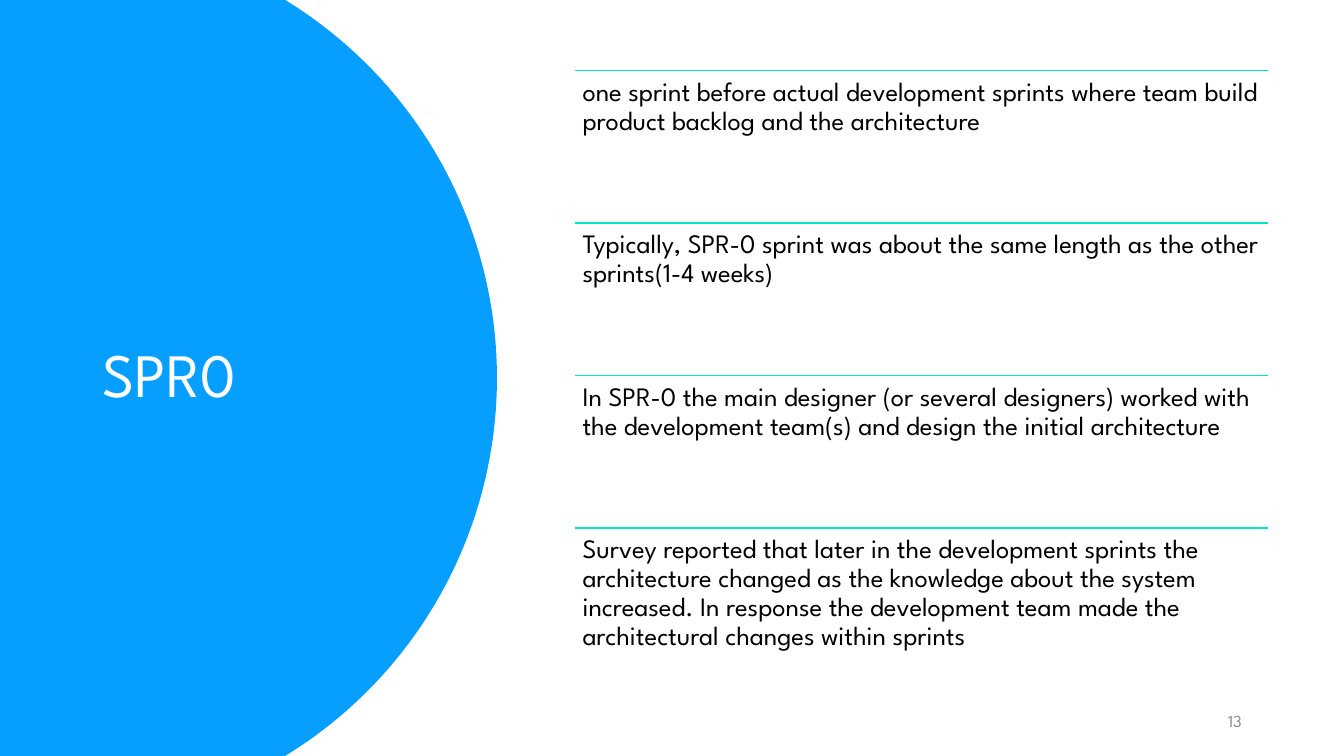
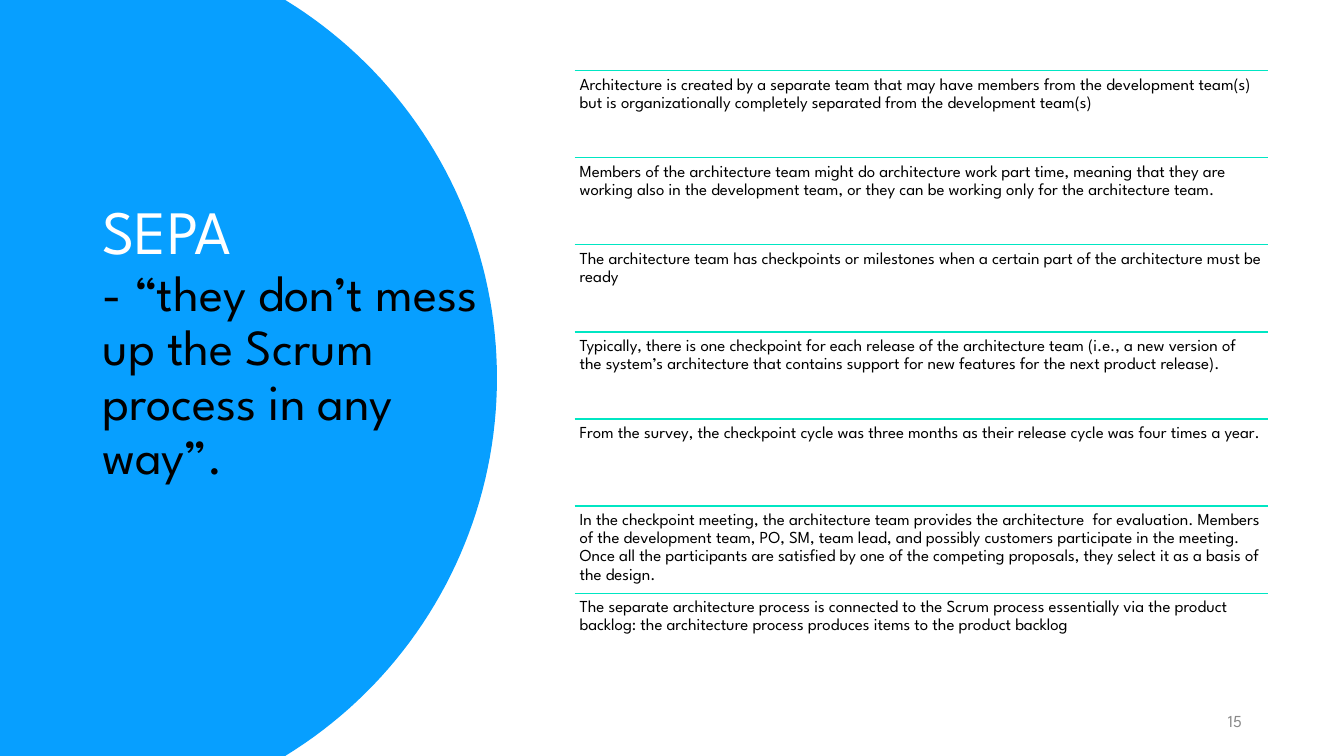
from math import asin, cos, sin

from lxml import etree
from pptx import Presentation
from pptx.dml.color import RGBColor
from pptx.enum.shapes import MSO_CONNECTOR
from pptx.enum.text import MSO_ANCHOR, MSO_AUTO_SIZE, PP_ALIGN
from pptx.oxml.ns import qn
from pptx.util import Pt

LEFT, RIGHT = PP_ALIGN.LEFT, PP_ALIGN.RIGHT
TOP, MIDDLE = MSO_ANCHOR.TOP, MSO_ANCHOR.MIDDLE
NO_FIT = MSO_AUTO_SIZE.NONE
STRAIGHT = MSO_CONNECTOR.STRAIGHT

WIDTH, HEIGHT = 960, 540
FONT = "League Spartan"
COLORS = {"panel": "079FFF", "rule": "00E6C3", "white": "FFFFFF",
          "black": "000000", "gray": "898989"}

SPR_ROWS = [
    "one sprint before actual development sprints where team build product "
    "backlog and the architecture",
    "Typically, SPR-0 sprint was about the same length as the other "
    "sprints(1-4 weeks)",
    "In SPR-0 the main designer (or several designers) worked with the "
    "development team(s) and design the initial architecture",
    "Survey reported that later in the development sprints the architecture "
    "changed as the knowledge about the system increased. In response the "
    "development team made the architectural changes within sprints",
]
SEPA_ROWS = [
    "Architecture is created by a separate team that may have members from "
    "the development team(s) but is organizationally completely separated "
    "from the development team(s)",
    "Members of the architecture team might do architecture work part time, "
    "meaning that they are working also in the development team, or they can "
    "be working only for the architecture team.",
    "The architecture team has checkpoints or milestones when a certain part "
    "of the architecture must be ready",
    "Typically, there is one checkpoint for each release of the architecture "
    "team (i.e., a new version of the system’s architecture that contains "
    "support for new features for the next product release).",
    "From the survey, the checkpoint cycle was three months as their release "
    "cycle was four times a year.",
    "In the checkpoint meeting, the architecture team provides the "
    "architecture  for evaluation. Members of the development team, PO, SM, "
    "team lead, and possibly customers participate in the meeting. Once all "
    "the participants are satisfied by one of the competing proposals, they "
    "select it as a basis of the design.",
    "The separate architecture process is connected to the Scrum process "
    "essentially via the product backlog: the architecture process produces "
    "items to the product backlog",
]


def rgb(name):
    return RGBColor.from_string(COLORS[name])


def write(frame, *parts, align=LEFT, anchor=TOP, inset=None, lines=0.9, after=0):
    """Fill a frame with one paragraph; each part is (text, size, color) on a new line."""
    frame.word_wrap = True
    frame.auto_size = NO_FIT
    frame.vertical_anchor = anchor
    if inset is not None:
        frame.margin_left = frame.margin_right = Pt(inset)
        frame.margin_top = frame.margin_bottom = Pt(inset)
    para = frame.paragraphs[0]
    para.alignment = align
    para.line_spacing = lines
    para.space_after = Pt(after)
    for i, (text, size, color) in enumerate(parts):
        if i:
            para.add_line_break()
        run = para.add_run()
        run.text = text
        run.font.name = FONT
        run.font.size = Pt(size)
        run.font.color.rgb = rgb(color)


class Deck:
    def __init__(self):
        self.prs = Presentation()
        self.prs.slide_width = Pt(WIDTH)
        self.prs.slide_height = Pt(HEIGHT)
        self.slide = None

    def start(self, number):
        """Add a slide with the round panel and the page number."""
        self.slide = self.prs.slides.add_slide(self.prs.slide_layouts[5])
        self.panel()
        self.box(678.2, 500.4, 216, 28.8, (number, 12, "gray"),
                 align=RIGHT, anchor=MIDDLE, lines=1, after=6)

    def panel(self, edge=355, radius=316.6, steps=80):
        """Draw the left area, closed by a circular arc, behind everything else."""
        mid = HEIGHT / 2
        span = asin(mid / radius)
        turns = [span * (2 * i / steps - 1) for i in range(steps + 1)]
        arc = [(Pt(edge - radius + radius * cos(t)), Pt(mid + radius * sin(t)))
               for t in turns]
        shapes = self.slide.shapes
        form = shapes.build_freeform(0, 0)
        form.add_line_segments(arc + [(0, Pt(HEIGHT))], close=True)
        shape = form.convert_to_shape()
        shape.shadow.inherit = False
        shape.fill.solid()
        shape.fill.fore_color.rgb = rgb("panel")
        shape.line.fill.background()
        shapes._spTree.insert(2, shape._element)

    def title(self, *parts, width, height):
        head = self.slide.shapes.title
        head.left, head.top = Pt(66), Pt(50.4)
        head.width, head.height = Pt(width), Pt(height)
        write(head.text_frame, *parts, anchor=MIDDLE)

    def box(self, x, y, w, h, *parts, **style):
        shape = self.slide.shapes.add_textbox(Pt(x), Pt(y), Pt(w), Pt(h))
        write(shape.text_frame, *parts, **style)

    def rule(self, x, y, w):
        line = self.slide.shapes.add_connector(
            STRAIGHT, Pt(x), Pt(y), Pt(x + w), Pt(y))
        line.line.color.rgb = rgb("rule")
        line.line.width = Pt(1)
        etree.SubElement(line._element.spPr, qn("a:effectLst"))

    def rows(self, texts, size, x=410.4, y=50.4, w=495.4, h=435.6):
        """Share the height equally between texts, each under a rule."""
        step = h / len(texts)
        for i, text in enumerate(texts):
            top = y + i * step
            self.rule(x, top, w)
            self.box(x, top, w, step, (text, size, "black"), inset=0.3 * size)


def main():
    deck = Deck()

    deck.start("13")
    deck.title(("SPR0", 44, "white"), width=232.6, height=438.5)
    deck.rows(SPR_ROWS, 19)

    deck.start("15")
    deck.title(("SEPA", 44, "white"),
               ("- “they don’t mess up the Scrum process in any way”.", 36, "black"),
               width=297.4, height=390)
    deck.rows(SEPA_ROWS, 12)

    deck.prs.save("out.pptx")


if __name__ == "__main__":
    main()
